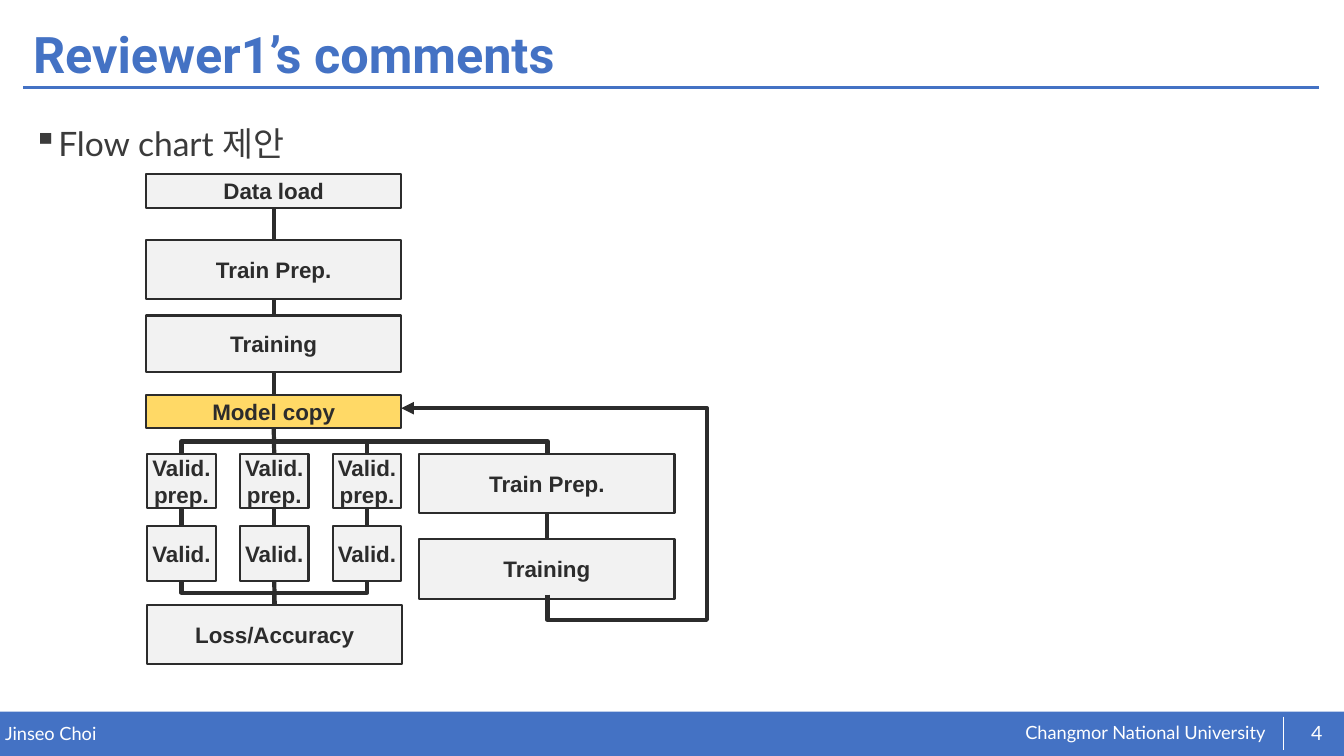
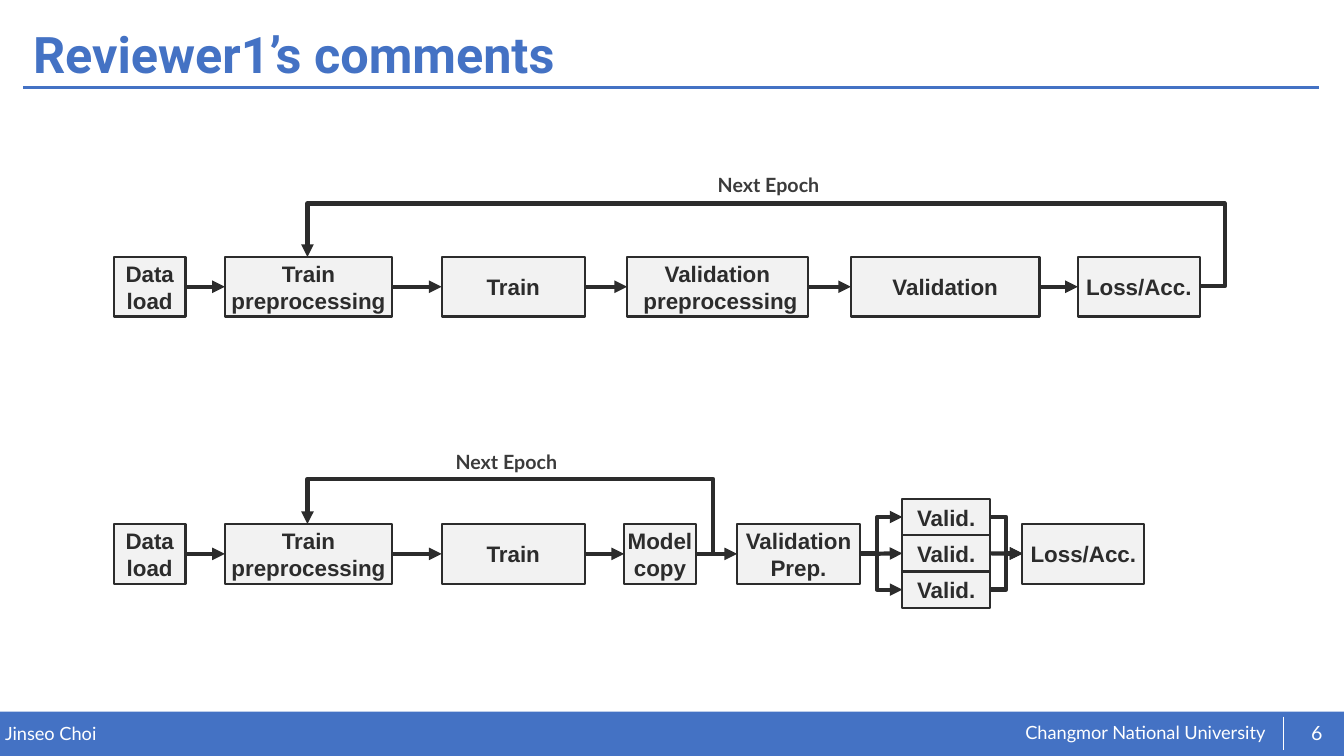
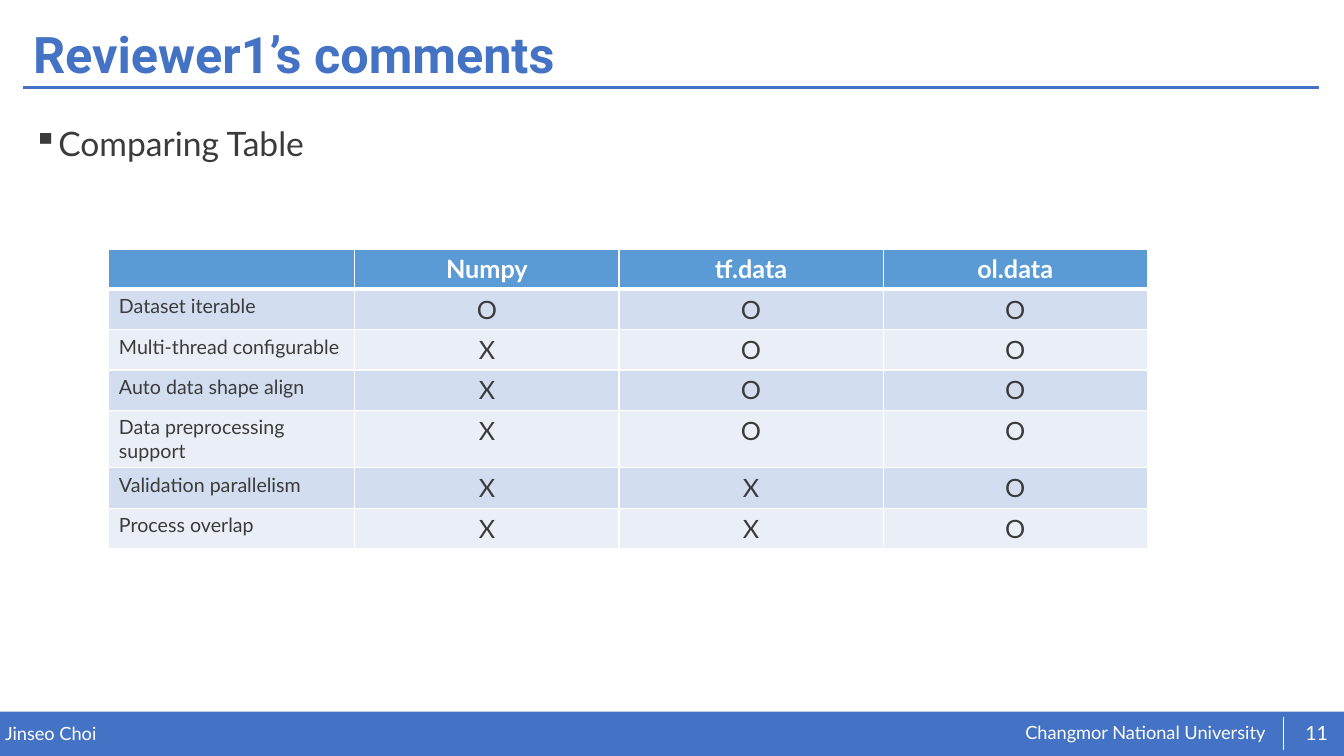
"""Build three review-response slides: two flow charts and a comparison table."""
from dataclasses import dataclass
from itertools import pairwise
from typing import Optional

from lxml import etree
from pptx import Presentation
from pptx.dml.color import RGBColor
from pptx.enum.shapes import MSO_CONNECTOR, MSO_SHAPE
from pptx.enum.text import MSO_ANCHOR, PP_ALIGN
from pptx.oxml.ns import qn
from pptx.util import Inches, Pt

STRAIGHT, ELBOW = MSO_CONNECTOR.STRAIGHT, MSO_CONNECTOR.ELBOW
PROCESS, RECT = MSO_SHAPE.FLOWCHART_PROCESS, MSO_SHAPE.RECTANGLE
LEFT_ALIGN, CENTER = PP_ALIGN.LEFT, PP_ALIGN.CENTER
ANCHOR_TOP, ANCHOR_MIDDLE = MSO_ANCHOR.TOP, MSO_ANCHOR.MIDDLE
TOP, LEFT, BOTTOM, RIGHT = range(4)

COLORS = {
    "accent": "4472C4", "white": "FFFFFF", "text": "3B3B3B", "ink": "2C2C2C",
    "box": "F2F2F2", "highlight": "FFD966",
    "header": "5B9BD5", "band_dark": "D2DEEF", "band_light": "EAEFF7",
}
TITLE = "Reviewer1’s comments"
AUTHOR = "Jinseo Choi"
SCHOOL = "Changmor National University"
TABLE_ROWS = [
    ("", "Numpy", "tf.data", "ol.data"),
    ("Dataset iterable", "O", "O", "O"),
    ("Multi-thread configurable", "X", "O", "O"),
    ("Auto data shape align", "X", "O", "O"),
    ("Data preprocessing support", "X", "O", "O"),
    ("Validation parallelism", "X", "X", "O"),
    ("Process overlap", "X", "X", "O"),
]


@dataclass(frozen=True)
class Style:
    """Look of a piece of text."""
    size: float
    font: str = "Lato"
    color: str = "text"
    bold: bool = False
    align: PP_ALIGN = LEFT_ALIGN


@dataclass(frozen=True)
class Box:
    """One step of a flow chart, in inches."""
    text: str
    left: float
    top: float
    width: float
    height: float = 0.59
    fill: str = "box"


@dataclass(frozen=True)
class Elbow:
    """A bent connector; bends are the coordinates where it turns."""
    begin: tuple[float, float]
    end: tuple[float, float]
    bends: tuple[float, ...]
    vertical: bool = False
    arrow: bool = True


TITLE_STYLE = Style(36, "Roboto", "accent", True)
BODY_STYLE = Style(24)
FOOTER_STYLE = Style(13, color="white")
NUMBER_STYLE = Style(14, color="white", align=CENTER)
BOX_STYLE = Style(16, "Arial", "ink", True, CENTER)
LABEL_STYLE = Style(14, bold=True)
HEADER_STYLE = Style(18, color="white", bold=True, align=CENTER)
MARK_STYLE = Style(18, align=CENTER)
ROW_STYLE = Style(14)


def rgb(name: str) -> RGBColor:
    """Look up a palette colour."""
    return RGBColor.from_string(COLORS[name])


def write(tf, text: str, style: Style) -> None:
    """Fill a text frame and format its runs."""
    tf.text = text
    for p in tf.paragraphs:
        p.alignment = style.align
        for r in p.runs:
            r.font.size = Pt(style.size)
            r.font.name = style.font
            r.font.bold = style.bold
            r.font.color.rgb = rgb(style.color)


def clear_insets(tf) -> None:
    """Remove the inner margins of a text frame."""
    tf.margin_left = tf.margin_right = tf.margin_top = tf.margin_bottom = 0


def add_text(s, text: str, at: tuple[float, ...], style: Style,
             anchor: MSO_ANCHOR = ANCHOR_TOP, inset: bool = True):
    """Add a text box and return its first paragraph."""
    tf = s.shapes.add_textbox(*map(Inches, at)).text_frame
    tf.word_wrap = True
    tf.vertical_anchor = anchor
    if not inset:
        clear_insets(tf)
    write(tf, text, style)
    return tf.paragraphs[0]


def style_line(c, color: str = "ink", width: float = 3, arrow: bool = False) -> None:
    """Format a connector, without shadow."""
    c.line.color.rgb = rgb(color)
    c.line.width = Pt(width)
    sp_pr = c.element.spPr
    if arrow:
        etree.SubElement(sp_pr.find(qn("a:ln")), qn("a:tailEnd"), type="triangle")
    etree.SubElement(sp_pr, qn("a:effectLst"))


def add_rule(s, begin: tuple[float, float], end: tuple[float, float],
             color: str, width: float) -> None:
    """Draw a plain line."""
    c = s.shapes.add_connector(STRAIGHT, *map(Inches, begin + end))
    style_line(c, color, width)


def add_link(s, start, start_side: int, stop, stop_side: int, arrow: bool = False) -> None:
    """Join two shapes with a straight connector."""
    c = s.shapes.add_connector(STRAIGHT, 0, 0, 0, 0)
    c.begin_connect(start, start_side)
    c.end_connect(stop, stop_side)
    style_line(c, arrow=arrow)


def add_chain(s, shapes: list, out_side: int, in_side: int, arrow: bool = False) -> None:
    """Join each shape to the next one."""
    for start, stop in pairwise(shapes):
        add_link(s, start, out_side, stop, in_side, arrow)


def add_elbow(s, elbow: Elbow) -> None:
    """Draw a bent connector that turns at the given coordinates."""
    (x0, y0), (x1, y1) = elbow.begin, elbow.end
    c = s.shapes.add_connector(ELBOW, *map(Inches, (x0, y0, x1, y1)))
    style_line(c, arrow=elbow.arrow)
    xfrm = c.element.spPr.find(qn("a:xfrm"))
    starts, spans = (x0, y0), (x1 - x0, y1 - y0)
    if elbow.vertical:
        starts, spans = starts[::-1], spans[::-1]
        width, height = abs(spans[0]), abs(spans[1])
        c.left, c.top = Inches((x0 + x1 - width) / 2), Inches((y0 + y1 - height) / 2)
        c.width, c.height = Inches(width), Inches(height)
        xfrm.set("rot", "5400000")
        xfrm.set("flipH", str(int(y1 < y0)))
        xfrm.set("flipV", str(int(x1 > x0)))
    geom = c.element.spPr.find(qn("a:prstGeom"))
    geom.set("prst", f"bentConnector{len(elbow.bends) + 2}")
    guides = geom.find(qn("a:avLst"))
    if guides is None:
        guides = etree.SubElement(geom, qn("a:avLst"))
    for i, (bend, start, span) in enumerate(zip(elbow.bends, starts, spans), 1):
        value = round((bend - start) / span * 100000)
        etree.SubElement(guides, qn("a:gd"), name=f"adj{i}", fmla=f"val {value}")


def add_boxes(s, boxes: list[Box]) -> list:
    """Draw flow chart steps and return their shapes."""
    shapes = []
    for box in boxes:
        at = (box.left, box.top, box.width, box.height)
        sp = s.shapes.add_shape(PROCESS, *map(Inches, at))
        sp.shadow.inherit = False
        sp.fill.solid()
        sp.fill.fore_color.rgb = rgb(box.fill)
        sp.line.color.rgb = rgb("ink")
        sp.line.width = Pt(1.5)
        tf = sp.text_frame
        tf.word_wrap = True
        tf.vertical_anchor = ANCHOR_MIDDLE
        clear_insets(tf)
        write(tf, box.text, BOX_STYLE)
        shapes.append(sp)
    return shapes


def add_slide(prs, number: int, body: Optional[str] = None):
    """Add a slide with the shared title, footer band and optional bullet."""
    s = prs.slides.add_slide(prs.slide_layouts[6])
    band = s.shapes.add_shape(RECT, 0, Inches(7.06), prs.slide_width, Inches(0.44))
    band.shadow.inherit = False
    band.fill.solid()
    band.fill.fore_color.rgb = rgb("accent")
    band.line.fill.background()
    add_text(s, SCHOOL, (10.17, 7.16, 2.5, 0.23), FOOTER_STYLE, inset=False)
    add_text(s, AUTHOR, (0.05, 7.17, 6.55, 0.22), FOOTER_STYLE, inset=False)
    add_rule(s, (0.23, 0.87), (13.08, 0.87), "accent", 2)
    add_rule(s, (12.73, 7.11), (12.73, 7.44), "white", 0.5)
    p = add_text(s, TITLE, (0.23, 0.18, 12.86, 0.77), TITLE_STYLE, ANCHOR_MIDDLE)
    p.line_spacing = 0.9
    add_text(s, str(number), (12.82, 7.07, 0.48, 0.4), NUMBER_STYLE, ANCHOR_MIDDLE, False)
    if body:
        p = add_text(s, body, (0.23, 1.01, 12.86, 5.63), BODY_STYLE)
        p.line_spacing = 1.4
        p.space_before = Pt(10)
        p_pr = p._p.get_or_add_pPr()
        p_pr.set("marL", str(Inches(0.25)))
        p_pr.set("indent", str(Inches(-0.25)))
        etree.SubElement(p_pr, qn("a:buChar"), char="▪")
    return s


def build_vertical_flow(prs) -> None:
    """Slide with the proposed top-down flow chart."""
    s = add_slide(prs, 4, "Flow chart 제안")
    left, width = 1.45, 2.53
    main = add_boxes(s, [
        Box("Data load", left, 1.73, width, 0.33),
        Box("Train Prep.", left, 2.38, width),
        Box("Training", left, 3.13, width, 0.56),
        Box("Model copy", left, 3.92, width, 0.33, "highlight"),
    ])
    columns = [1.46 + 0.92 * i for i in range(3)]
    preps = add_boxes(s, [Box("Valid. prep.", x, 4.5, 0.68, 0.54) for x in columns])
    valids = add_boxes(s, [Box("Valid.", x, 5.22, 0.68, 0.54) for x in columns])
    train = add_boxes(s, [Box("Train Prep.", 4.16, 4.5, width),
                          Box("Training", 4.16, 5.35, width)])
    loss, = add_boxes(s, [Box("Loss/Accuracy", 1.46, 6, width)])

    add_chain(s, main + [preps[1]], BOTTOM, TOP)
    add_chain(s, train, BOTTOM, TOP)
    for prep, valid in zip(preps, valids):
        add_link(s, prep, BOTTOM, valid, TOP)
    add_link(s, valids[1], BOTTOM, loss, TOP)

    center, first, last, train_center = 2.72, 1.8, 3.64, 5.43
    for x in (first, last, train_center):
        add_elbow(s, Elbow((center, 4.26), (x, 4.5), (4.38,), True, False))
    for x in (first, last):
        add_elbow(s, Elbow((center, 6), (x, 5.76), (5.88,), True, False))
    add_elbow(s, Elbow((train_center, 5.9), (3.98, 4.05), (6.15, 7.01), True))


def build_horizontal_flows(prs) -> None:
    """Slide that compares the serial and the parallel flow."""
    s = add_slide(prs, 6)
    serial_top, parallel_top = 2.55, 5.2

    def start_boxes(top: float) -> list[Box]:
        """Steps that both flows begin with."""
        return [Box("Data load", 1.13, top, 0.71),
                Box("Train\npreprocessing", 2.23, top, 1.66),
                Box("Train", 4.38, top, 1.42)]

    serial = add_boxes(s, start_boxes(serial_top) + [
        Box("Validation\n preprocessing", 6.22, serial_top, 1.79),
        Box("Validation", 8.44, serial_top, 1.87),
        Box("Loss/Acc.", 10.69, serial_top, 1.21),
    ])
    parallel = add_boxes(s, start_boxes(parallel_top) + [
        Box("Model\ncopy", 6.19, parallel_top, 0.71),
        Box("Validation\nPrep.", 7.31, parallel_top, 1.22),
    ])
    valids = add_boxes(s, [Box("Valid.", 8.95, 4.95 + 0.36 * i, 0.87, 0.36)
                           for i in range(3)])
    loss, = add_boxes(s, [Box("Loss/Acc.", 10.14, parallel_top, 1.21)])

    add_chain(s, serial, RIGHT, LEFT, True)
    add_chain(s, parallel + [valids[1], loss], RIGHT, LEFT, True)
    middle = 5.49
    for y in (5.13, 5.85):
        add_elbow(s, Elbow((8.53, middle), (8.95, y), (8.7,)))
        add_elbow(s, Elbow((9.82, y), (10.14, middle), (9.98,)))
    add_elbow(s, Elbow((11.9, 2.84), (3.05, serial_top), (12.15, 2.02)))
    add_elbow(s, Elbow((7.08, middle), (3.05, parallel_top), (7.07, 4.75)))
    for x, y in ((7.02, 1.67), (4.42, 4.41)):
        add_text(s, "Next Epoch", (x, y, 1.79, 0.34), LABEL_STYLE)


def set_borders(cell, top: float, bottom: float) -> None:
    """Draw white cell borders of the given widths in points."""
    tc_pr = cell._tc.get_or_add_tcPr()
    for side, width in (("L", 1), ("R", 1), ("T", top), ("B", bottom)):
        ln = etree.SubElement(tc_pr, qn(f"a:ln{side}"), w=str(Pt(width)))
        fill = etree.SubElement(ln, qn("a:solidFill"))
        etree.SubElement(fill, qn("a:srgbClr"), val=COLORS["white"])


def build_table(prs) -> None:
    """Slide with the feature comparison table."""
    s = add_slide(prs, 11, "Comparing Table")
    widths = [2.44] + [2.62] * 3
    heights = [0.4] * 4 + [0.57] + [0.4] * 2
    at = (1.08, 2.47, sum(widths), sum(heights))
    table = s.shapes.add_table(len(heights), len(widths), *map(Inches, at)).table
    for column, width in zip(table.columns, widths):
        column.width = Inches(width)
    for i, (row, height) in enumerate(zip(table.rows, heights)):
        row.height = Inches(height)
        band = "header" if i == 0 else "band_dark" if i % 2 else "band_light"
        for j, cell in enumerate(row.cells):
            style = HEADER_STYLE if i == 0 else MARK_STYLE if j else ROW_STYLE
            set_borders(cell, 3 if i == 1 else 1, 3 if i == 0 else 1)
            cell.fill.solid()
            cell.fill.fore_color.rgb = rgb(band)
            write(cell.text_frame, TABLE_ROWS[i][j], style)


def main() -> None:
    """Build and save the presentation."""
    prs = Presentation()
    prs.slide_width, prs.slide_height = Inches(13.33), Inches(7.5)
    build_vertical_flow(prs)
    build_horizontal_flows(prs)
    build_table(prs)
    prs.save("out.pptx")


if __name__ == "__main__":
    main()
